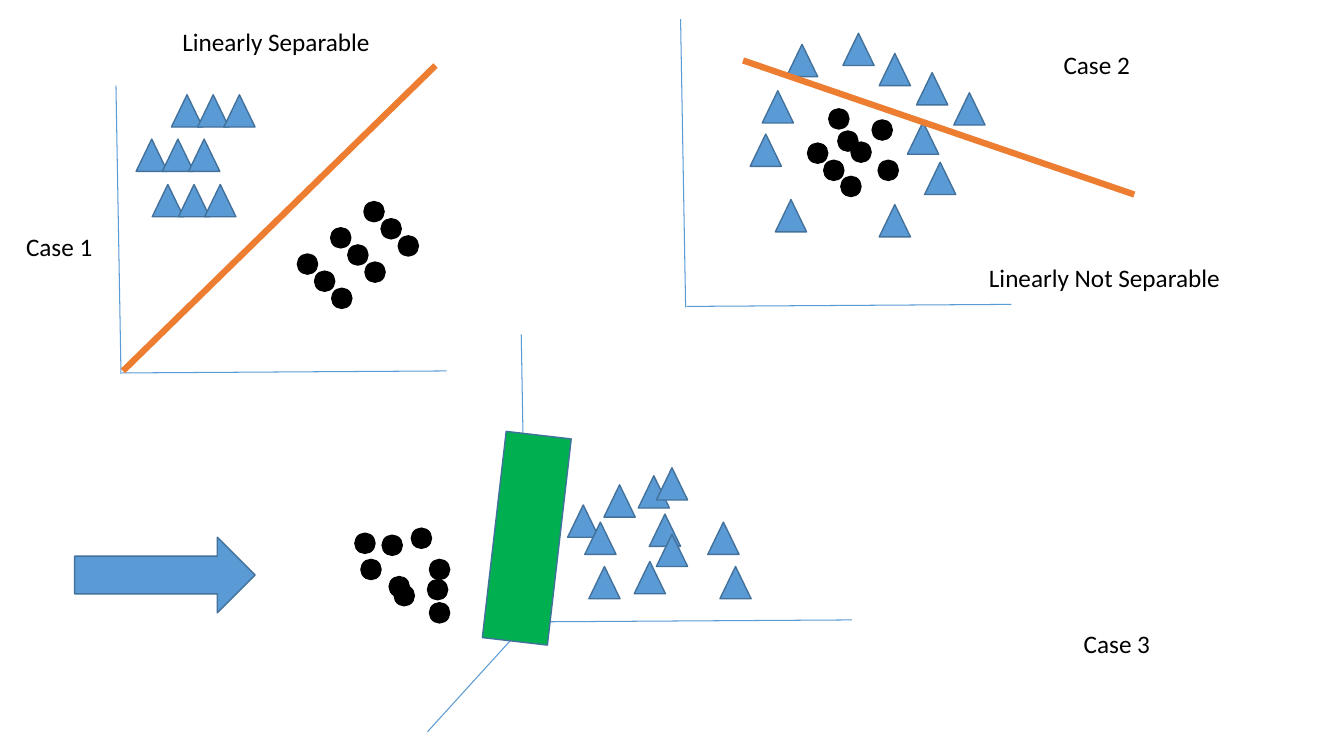
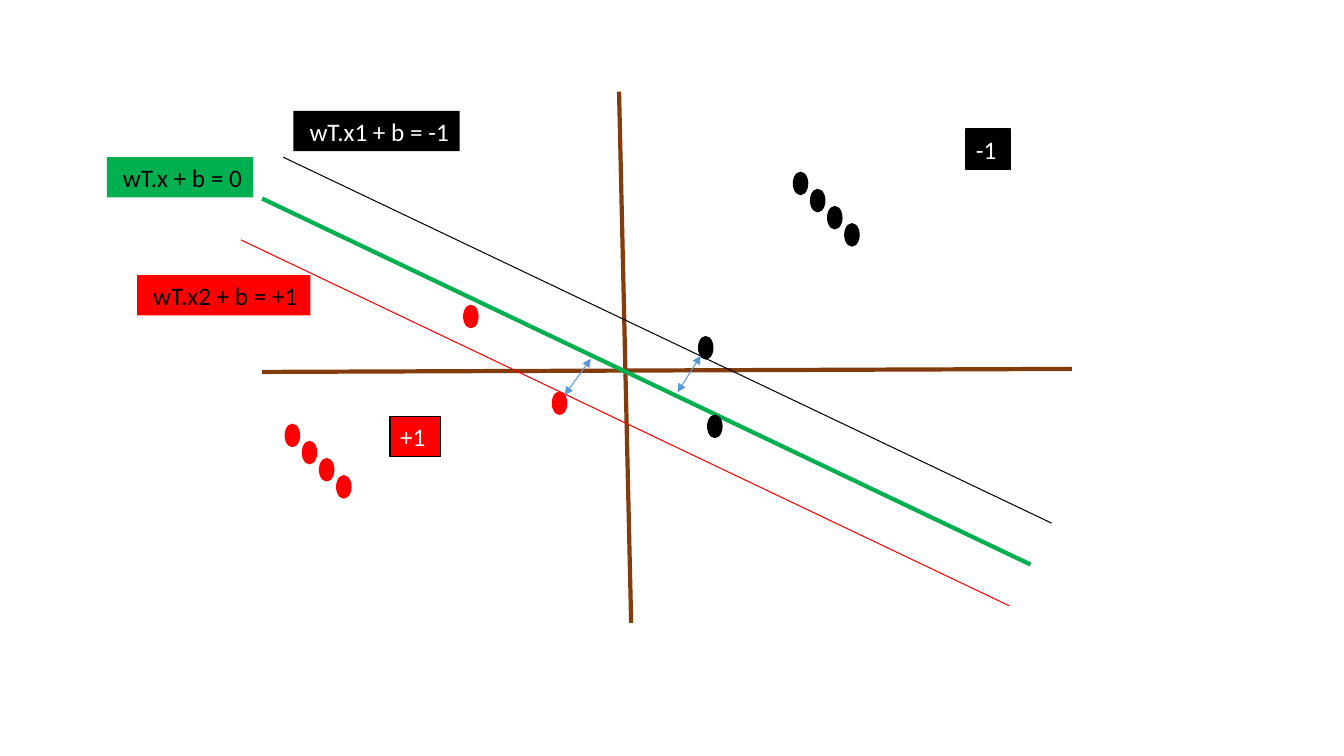
import dataclasses

import pptx
import pptx.dml.color
import pptx.enum.shapes
import pptx.enum.text
import pptx.oxml.ns
import pptx.util
from lxml import etree

Inches = pptx.util.Inches
Pt = pptx.util.Pt
SHAPE = pptx.enum.shapes.MSO_SHAPE


@dataclasses.dataclass(frozen=True)
class Theme:
    blue: str = "5B9BD5"
    blue_edge: str = "42719B"
    orange: str = "ED7D31"
    green: str = "00B050"
    red: str = "FF0000"
    brown: str = "833C0B"
    black: str = "000000"
    white: str = "FFFFFF"
    font: str = "Calibri"
    text_size: float = 18
    thin: float = 0.75
    outline: float = 1
    axis: float = 3
    boundary: float = 4.5


THEME = Theme()
DOT_SIZE = (0.2, 0.2)
TRIANGLE_SIZE = (0.31, 0.32)
OVAL_SIZE = (0.14, 0.22)
LABEL_HEIGHT = 0.4

# Slide 1: every list of pairs holds the left and top of each mark
CASES = [
    {
        "axes": (1.15, 0.85),
        "dots": [(2.95 + 0.33 * row + 0.17 * col, 2.52 - 0.26 * row + 0.17 * col)
                 for row in range(3) for col in range(3)],
        "triangles": [(left + 0.26 * col, top)
                      for left, top in [(1.35, 1.38), (1.51, 1.83), (1.7, 0.94)]
                      for col in range(3)],
        "boundary": ((1.22, 3.68), (4.32, 0.65)),
    },
    {
        "axes": (6.75, 0.19),
        "dots": [(8.01, 1.42), (8.17, 1.59), (8.34, 1.75), (8.22, 1.08),
                 (8.65, 1.19), (8.71, 1.59), (8.44, 1.41), (8.31, 1.3)],
        "triangles": [(7.44, 1.33), (8.36, 0.33), (7.8, 0.44), (8.72, 0.53),
                      (9.09, 0.72), (9.46, 0.92), (7.69, 1.98), (9.17, 1.61),
                      (8.72, 2.03), (9, 1.21), (7.56, 0.9)],
        "boundary": ((11.25, 1.93), (7.37, 0.6)),
    },
    {
        "axes": (5.17, 3.32),
        "depth_axis": ((5.23, 6.17), (4.24, 7.26)),
        "plane": (4.9, 4.31, 0.65, 2.06),
        "dots": [(3.79, 5.31), (3.91, 5.81), (4.26, 5.98), (3.86, 5.72),
                 (3.58, 5.55), (4.24, 5.75), (3.52, 5.29), (4.08, 5.24),
                 (4.26, 5.55)],
        "triangles": [(6.33, 4.72), (5.63, 5.01), (5.84, 5.62), (5.8, 5.18),
                      (5.99, 4.81), (7.14, 5.62), (6.29, 5.57), (6.51, 4.64),
                      (6.44, 5.1), (6.51, 5.3), (7.02, 5.18)],
    },
]
PLANE_TILT = 6.6
VIEW_ARROW = (0.74, 5.33, 1.79, 0.75)
CASE_LABELS = [  # text, left, top, width
    ("Case 1", 0.16, 2.25, 0.87),
    ("Case 2", 10.45, 0.44, 0.87),
    ("Linearly Separable", 1.71, 0.21, 2.08),
    ("Linearly Not Separable", 9.71, 2.55, 2.52),
    ("Case 3", 10.65, 6.18, 0.87),
]

# Slide 2
PLOT_AXES = [((6.14, 0.91), (6.26, 6.18)), ((2.6, 3.69), (10.63, 3.66))]
HYPERPLANE = ((2.6, 1.97), (10.22, 5.6))
MARGIN_OFFSET = (-0.21, 0.41)
PARALLELS = [  # multiple of the margin offset, colour, width
    (0, THEME.green, THEME.axis),
    (1, THEME.red, THEME.thin),
    (-1, THEME.black, THEME.thin),
]
MARGIN_ARROWS = [((5.6, 3.92), (5.86, 3.56)), ((6.72, 3.89), (6.95, 3.53))]
OVALS = {
    THEME.red: [(2.83 + 0.17 * i, 4.21 + 0.17 * i) for i in range(4)]
    + [(5.48, 3.89), (4.6, 3.03)],
    THEME.black: [(7.87 + 0.17 * i, 1.71 + 0.17 * i) for i in range(4)]
    + [(6.93, 3.34), (7.02, 4.12)],
}
EQUATION_INSET = 0.16
EQUATIONS = [  # text, left, top, width, fill, text colour
    ("wT.x + b = 0", 1.06, 1.56, 1.45, THEME.green, THEME.black),
    ("wT.x1 + b = -1", 2.91, 1.1, 1.65, THEME.black, THEME.white),
    ("wT.x2 + b = +1", 1.36, 2.73, 1.72, THEME.red, THEME.black),
]
CLASS_TAGS = [  # text, left, top, width, fill
    ("-1", 9.58, 1.28, 0.44, THEME.black),
    ("+1", 3.87, 4.13, 0.5, THEME.red),
]


def rgb(colour):
    return pptx.dml.color.RGBColor.from_string(colour)


def paint(shape, fill, edge=None):
    shape.fill.solid()
    shape.fill.fore_color.rgb = rgb(fill)
    if edge:
        shape.line.color.rgb = rgb(edge)
        shape.line.width = Pt(THEME.outline)


def add_preset(slide, preset, box, fill, edge):
    shape = slide.shapes.add_shape(preset, *map(Inches, box))
    shape.shadow.inherit = False
    paint(shape, fill, edge)
    return shape


def add_marks(slide, preset, places, size, fill, edge):
    for place in places:
        add_preset(slide, preset, (*place, *size), fill, edge)


def add_line(slide, ends, colour, width, arrows=False):
    start, end = ends
    line = slide.shapes.add_connector(
        pptx.enum.shapes.MSO_CONNECTOR.STRAIGHT, *map(Inches, (*start, *end)))
    line.line.color.rgb = rgb(colour)
    line.line.width = Pt(width)
    properties = line._element.spPr
    if arrows:
        for tag in ("a:headEnd", "a:tailEnd"):
            etree.SubElement(properties.find(pptx.oxml.ns.qn("a:ln")),
                             pptx.oxml.ns.qn(tag), type="triangle")
    etree.SubElement(properties, pptx.oxml.ns.qn("a:effectLst"))


def add_label(slide, text, left, top, width, colour=THEME.black,
              fill=None, edge=None, inset=0.1):
    label = slide.shapes.add_textbox(
        *map(Inches, (left, top, width, LABEL_HEIGHT)))
    if fill:
        paint(label, fill, edge)
    frame = label.text_frame
    frame.word_wrap = True
    frame.auto_size = pptx.enum.text.MSO_AUTO_SIZE.SHAPE_TO_FIT_TEXT
    frame.margin_left, frame.margin_right = Inches(inset), 0
    paragraph = frame.paragraphs[0]
    paragraph.text = text
    paragraph.font.name = THEME.font
    paragraph.font.size = Pt(THEME.text_size)
    paragraph.font.color.rgb = rgb(colour)


def add_case(slide, case):
    x, y = case["axes"]
    axes = [((x, y), (x + 0.05, y + 2.86)),
            ((x + 0.06, y + 2.85), (x + 3.28, y + 2.83))]
    if "depth_axis" in case:
        axes.append(case["depth_axis"])
    for axis in axes:
        add_line(slide, axis, THEME.blue, THEME.thin)
    if "plane" in case:
        plane = add_preset(slide, SHAPE.RECTANGLE, case["plane"],
                           THEME.green, THEME.blue_edge)
        plane.rotation = PLANE_TILT
    add_marks(slide, SHAPE.OVAL, case["dots"], DOT_SIZE,
              THEME.black, THEME.black)
    add_marks(slide, SHAPE.ISOSCELES_TRIANGLE, case["triangles"],
              TRIANGLE_SIZE, THEME.blue, THEME.blue_edge)
    if "boundary" in case:
        add_line(slide, case["boundary"], THEME.orange, THEME.boundary)


def build_separability(slide):
    for case in CASES:
        add_case(slide, case)
    add_preset(slide, SHAPE.RIGHT_ARROW, VIEW_ARROW,
               THEME.blue, THEME.blue_edge)
    for label in CASE_LABELS:
        add_label(slide, *label)


def build_margins(slide):
    for axis in PLOT_AXES:
        add_line(slide, axis, THEME.brown, THEME.axis)
    dx, dy = MARGIN_OFFSET
    for multiple, colour, width in PARALLELS:
        ends = [(x + multiple * dx, y + multiple * dy) for x, y in HYPERPLANE]
        add_line(slide, ends, colour, width)
    for text, left, top, width, fill, colour in EQUATIONS:
        add_label(slide, text, left, top, width, colour, fill,
                  inset=EQUATION_INSET)
    for colour, places in OVALS.items():
        add_marks(slide, SHAPE.OVAL, places, OVAL_SIZE, colour, colour)
    for ends in MARGIN_ARROWS:
        add_line(slide, ends, THEME.blue, THEME.thin, arrows=True)
    for text, left, top, width, fill in CLASS_TAGS:
        add_label(slide, text, left, top, width, THEME.white, fill, THEME.black)


def main():
    deck = pptx.Presentation()
    deck.slide_width, deck.slide_height = Inches(13.33), Inches(7.5)
    blank = deck.slide_layouts[6]
    for build in (build_separability, build_margins):
        build(deck.slides.add_slide(blank))
    deck.save("out.pptx")


if __name__ == "__main__":
    main()
